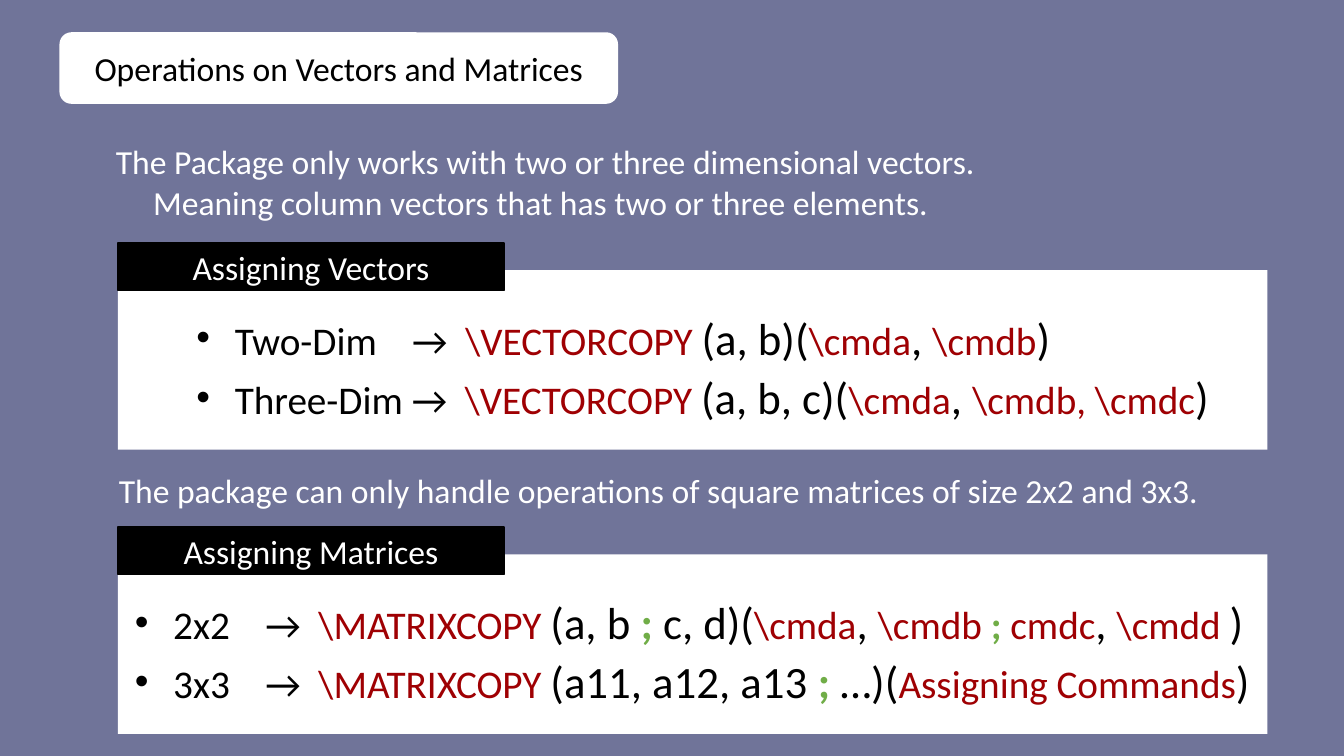
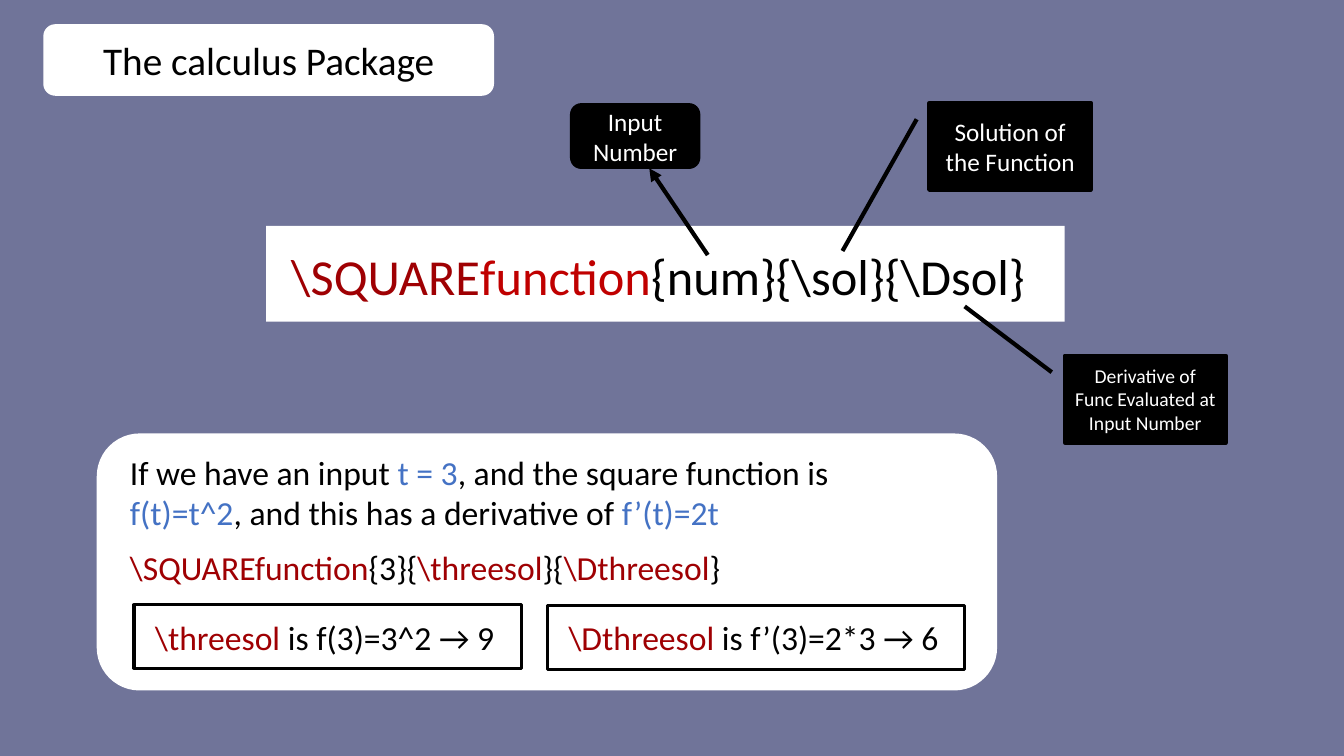
"""Build two slides on the vector, matrix and calculus packages."""
from dataclasses import dataclass
from typing import Any, NamedTuple, Optional

from lxml import etree
from pptx import Presentation
from pptx import util as u
from pptx.dml.color import RGBColor
from pptx.enum import shapes, text
from pptx.oxml import ns

SLATE = RGBColor(0x70, 0x74, 0x99)
WHITE = RGBColor(0xFF, 0xFF, 0xFF)
BLACK = RGBColor(0, 0, 0)
MAROON = RGBColor(0x9F, 0x00, 0x03)
RED = RGBColor(0xC0, 0x00, 0x00)
GREEN = RGBColor(0x70, 0xAD, 0x47)
BLUE = RGBColor(0x44, 0x72, 0xC4)
FONT = "Calibri"
RECTANGLE = shapes.MSO_SHAPE.RECTANGLE
ROUNDED = shapes.MSO_SHAPE.ROUNDED_RECTANGLE
CALLOUT = shapes.MSO_SHAPE.LINE_CALLOUT_1
BULLET_INDENT = u.Inches(0.38)
ROW_PITCH = 0.59


class Area(NamedTuple):
    """Left, top, width and height in inches."""
    left: float
    top: float
    width: float
    height: float

    def lengths(self) -> list[u.Length]:
        """Return the four values as lengths."""
        return [u.Inches(value) for value in self]


class Span(NamedTuple):
    """Text in one style; tracking is extra letter spacing in points."""
    text: str
    size: float = 24
    color: RGBColor = BLACK
    bold: bool = False
    tracking: float = 0


@dataclass
class Box:
    """A filled shape with optional centred text."""
    area: Area
    kind: Any = RECTANGLE
    fill: RGBColor = WHITE
    border: float = 0
    label: Optional[Span] = None
    adjustments: tuple[float, ...] = ()


@dataclass
class Section:
    """A white panel with a black heading and bulleted rows."""
    top: float
    heading: str
    row_left: float
    row_width: float
    rows: list[list[Span]]


def command(words: str) -> Span:
    """Return a command name as shown in a row."""
    return Span(words, 28, MAROON)


def argument(words: str) -> Span:
    """Return large black argument text."""
    return Span(words, 32)


def row_start(label: str, name: str, label_gap: float = 19) -> list[Span]:
    """Return the label, arrow and command that open a row."""
    return [Span(label, 28), Span(" ", 28, tracking=label_gap), Span("→", 28),
            Span(" ", 28, tracking=6.3), command(name + " ")]


def write(paragraph: Any, spans: list[Span]) -> None:
    """Add styled runs to a paragraph."""
    for span in spans:
        run = paragraph.add_run()
        run.text = span.text
        formats = {"name": FONT, "size": u.Pt(span.size), "bold": span.bold}
        for name, value in formats.items():
            setattr(run.font, name, value)
        run.font.color.rgb = span.color
        if span.tracking:
            run.font._element.set("spc", str(round(span.tracking * 100)))


def add_bullet(paragraph: Any) -> None:
    """Give a paragraph a hanging round bullet."""
    properties = paragraph._p.get_or_add_pPr()
    properties.set("marL", str(BULLET_INDENT))
    properties.set("indent", str(-BULLET_INDENT))
    etree.SubElement(properties, ns.qn("a:buFont")).set("typeface", "Arial")
    etree.SubElement(properties, ns.qn("a:buChar")).set("char", "•")


def add_text(slide: Any, area: Area, spans: list[Span], bullet: bool = False) -> None:
    """Add a wrapping text box."""
    frame = slide.shapes.add_textbox(*area.lengths()).text_frame
    formats = {"word_wrap": True, "auto_size": text.MSO_AUTO_SIZE.SHAPE_TO_FIT_TEXT}
    for name, value in formats.items():
        setattr(frame, name, value)
    if bullet:
        add_bullet(frame.paragraphs[0])
    write(frame.paragraphs[0], spans)


def add_box(slide: Any, box: Box) -> None:
    """Add a filled shape and its label."""
    shape = slide.shapes.add_shape(box.kind, *box.area.lengths())
    shape.shadow.inherit = False
    shape.fill.solid()
    shape.fill.fore_color.rgb = box.fill
    if box.border:
        shape.line.color.rgb = BLACK
        shape.line.width = u.Pt(box.border)
    else:
        shape.line.fill.background()
    for index, value in enumerate(box.adjustments):
        shape.adjustments[index] = value
    if box.label:
        frame = shape.text_frame
        formats = {"word_wrap": True, "vertical_anchor": text.MSO_ANCHOR.MIDDLE}
        for name, value in formats.items():
            setattr(frame, name, value)
        frame.paragraphs[0].alignment = text.PP_ALIGN.CENTER
        write(frame.paragraphs[0], [box.label])


def add_arrow(slide: Any, start: tuple[float, float], end: tuple[float, float]) -> None:
    """Add a black line with an arrowhead at its end."""
    points = [u.Inches(value) for value in start + end]
    arrow = slide.shapes.add_connector(shapes.MSO_CONNECTOR.STRAIGHT, *points)
    arrow.line.color.rgb = BLACK
    arrow.line.width = u.Pt(3)
    etree.SubElement(arrow.line._get_or_add_ln(), ns.qn("a:tailEnd")).set("type", "triangle")
    etree.SubElement(arrow._element.spPr, ns.qn("a:effectLst"))


def add_section(slide: Any, section: Section) -> None:
    """Add a panel, its heading and its rows."""
    add_box(slide, Box(Area(1.17, section.top + 0.27, 11.4, 1.78)))
    add_box(slide, Box(Area(1.17, section.top, 3.83, 0.47), fill=BLACK, border=1,
                       label=Span(section.heading, color=WHITE)))
    for index, spans in enumerate(section.rows):
        top = section.top + 0.62 + index * ROW_PITCH
        add_text(slide, Area(section.row_left, top, section.row_width, 0.64), spans, bullet=True)


def add_slide(presentation: Any, title: Span, area: Area) -> Any:
    """Add a slate slide with a rounded title."""
    slide = presentation.slides.add_slide(presentation.slide_layouts[6])
    slide.background.fill.solid()
    slide.background.fill.fore_color.rgb = SLATE
    add_box(slide, Box(area, ROUNDED, label=title))
    return slide


def build_operations(presentation: Any) -> None:
    """Build the slide on vectors and matrices."""
    slide = add_slide(presentation, Span("Operations on Vectors and Matrices"),
                      Area(0.59, 0.32, 5.54, 0.71))
    statements = [
        (Area(1.05, 1.35, 9.92, 0.5),
         "The Package only works with two or three dimensional vectors."),
        (Area(1.42, 1.76, 9.92, 0.5),
         "Meaning column vectors that has two or three elements."),
        (Area(1.08, 4.61, 11.03, 0.5),
         "The package can only handle operations of square matrices of size 2x2 and 3x3."),
    ]
    for area, words in statements:
        add_text(slide, area, [Span(words, color=WHITE)])

    vector, matrix = "\\VECTORCOPY", "\\MATRIXCOPY"
    comma, close = argument(", "), argument(")")
    sections = [
        Section(2.41, "Assigning Vectors", 1.85, 10.89, [
            row_start("Two-Dim", vector) + [
                argument("(a, b)("), command("\\cmda"), comma, command("\\cmdb"), close],
            row_start("Three-Dim", vector, 0) + [
                argument("(a, b, c)("), command("\\cmda"), comma,
                command("\\cmdb, \\cmdc"), close],
        ]),
        Section(5.23, "Assigning Matrices", 1.24, 11.4, [
            row_start("2x2", matrix) + [
                argument("(a, b "), Span(";", 32, GREEN, True), argument(" c, d)("),
                command("\\cmda"), comma, command("\\cmdb "), Span("; ", 28, GREEN, True),
                command("cmdc"), comma, command("\\cmdd "), close],
            row_start("3x3", matrix) + [
                argument("(a11, a12, a13 "), Span("; ", 32, GREEN, True), argument("…)("),
                command("Assigning Commands"), close],
        ]),
    ]
    for section in sections:
        add_section(slide, section)


def build_calculus(presentation: Any) -> None:
    """Build the slide on the calculus package."""
    slide = add_slide(presentation, Span("The calculus Package", 28),
                      Area(0.43, 0.24, 4.47, 0.71))
    add_box(slide, Box(Area(2.64, 2.24, 7.92, 0.95)))
    add_text(slide, Area(2.79, 2.38, 7.48, 0.71), [
        Span("\\SQUARE", 36, MAROON), Span("function", 36, RED),
        Span("{num}{\\sol}{\\Dsol}", 36)])
    add_arrow(slide, (7.02, 2.53), (6.44, 1.67))
    boxes = [
        Box(Area(5.66, 1.03, 1.28, 0.64), ROUNDED, BLACK, 1, Span("Input Number", 18, WHITE)),
        Box(Area(9.22, 1.02, 1.6, 0.86), CALLOUT, BLACK, 3,
            Span("Solution of the Function", 18, WHITE), (0.19, -0.08, 1.71, -0.54)),
        Box(Area(10.56, 3.53, 1.6, 0.86), CALLOUT, BLACK, 3,
            Span("Derivative of Func Evaluated at Input Number", 14, WHITE),
            (0.19, -0.08, -0.57, -0.62)),
        Box(Area(0.96, 4.3, 8.93, 2.55), ROUNDED),
        Box(Area(1.33, 6, 3.84, 0.63), border=2.25),
        Box(Area(5.43, 6.01, 4.14, 0.63), border=2.25),
    ]
    for box in boxes:
        add_box(slide, box)

    texts = [
        (Area(1.19, 4.43, 8.19, 0.91), [
            Span("If we have an input "), Span("t = 3", color=BLUE),
            Span(", and the square function is "), Span("f(t)=t^2", color=BLUE),
            Span(", and this has a derivative of "), Span("f’(t)=2t", color=BLUE)]),
        (Area(1.19, 5.38, 7.86, 0.5), [
            Span("\\SQUAREfunction", color=MAROON), Span("{3}{"),
            Span("\\threesol", color=MAROON), Span("}{"),
            Span("\\Dthreesol", color=MAROON), Span("}")]),
        (Area(1.44, 6.07, 3.63, 0.5), [
            Span("\\threesol ", color=MAROON), Span("is f(3)=3^2 → 9")]),
        (Area(5.54, 6.07, 3.91, 0.5), [
            Span("\\Dthreesol ", color=MAROON), Span("is f’(3)=2*3 → 6")]),
    ]
    for area, spans in texts:
        add_text(slide, area, spans)


def main() -> None:
    """Build and save the presentation."""
    presentation = Presentation()
    presentation.slide_width = u.Inches(13.33)
    presentation.slide_height = u.Inches(7.5)
    build_operations(presentation)
    build_calculus(presentation)
    presentation.save("out.pptx")


if __name__ == "__main__":
    main()
